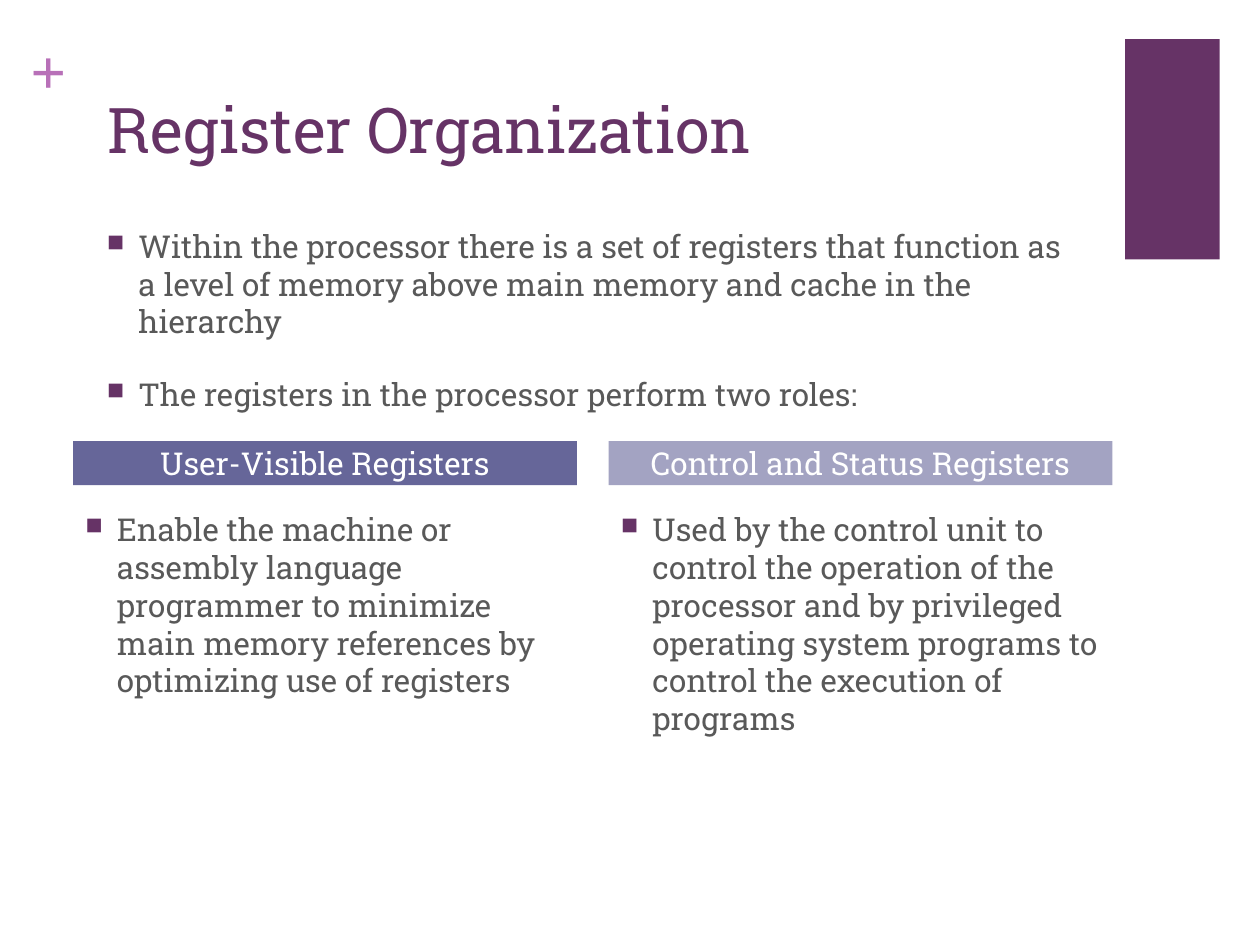
from dataclasses import dataclass

from lxml.etree import SubElement
from pptx import Presentation
from pptx.dml.color import RGBColor as Rgb
from pptx.enum.shapes import MSO_SHAPE as Shape
from pptx.enum.text import MSO_ANCHOR as Anchor, PP_ALIGN as Align
from pptx.oxml.ns import qn
from pptx.util import Inches, Pt


@dataclass(frozen=True)
class Theme:
    font: str = "Roboto Slab"
    plus_font: str = "Times New Roman"
    plum: str = "663366"
    orchid: str = "B870B8"
    body: str = "595959"
    white: str = "FFFFFF"
    large: int = 36
    normal: int = 18


@dataclass(frozen=True)
class Box:
    left: float
    top: float
    width: float
    height: float

    def inches(self) -> list:
        return [Inches(n) for n in (self.left, self.top, self.width, self.height)]


@dataclass(frozen=True)
class Role:
    heading: str
    fill: str
    description: str


THEME = Theme()
ROLES = (
    Role("User-Visible Registers", "666699",
         "Enable the machine or assembly language programmer to minimize "
         "main memory references by optimizing use of registers"),
    Role("Control and Status Registers", "A3A3C2",
         "Used by the control unit to control the operation of the processor "
         "and by privileged operating system programs to control the "
         "execution of programs"),
)
INTRO = (
    "Within the processor there is a set of registers that function as a "
    "level of memory above main memory and cache in the hierarchy",
    "The registers in the processor perform two roles:",
)
COLUMN_LEFT, COLUMN_STEP, COLUMN_WIDTH = 0.58, 4.25, 4


def apply(target, **values) -> None:
    for name, value in values.items():
        setattr(target, name, value)


def set_frame(frame, side: float = 0.1, edge: float = 0.05,
              anchor=Anchor.TOP) -> None:
    apply(frame, word_wrap=True, vertical_anchor=anchor,
          margin_left=Inches(side), margin_right=Inches(side),
          margin_top=Inches(edge), margin_bottom=Inches(edge))


def write(paragraph, text: str, color: str, size: int = THEME.normal,
          font: str = THEME.font, bold: bool = False, align=Align.LEFT) -> None:
    paragraph.text = text
    paragraph.alignment = align
    apply(paragraph.font, name=font, size=Pt(size), bold=bold)
    paragraph.font.color.rgb = Rgb.from_string(color)


def add_bullet(paragraph) -> None:
    """Give the paragraph a small plum square on a hanging indent."""
    props = paragraph._p.get_or_add_pPr()
    indent = Inches(0.25)
    props.set("marL", str(indent))
    props.set("indent", str(-indent))
    color = SubElement(props, qn("a:buClr"))
    SubElement(color, qn("a:srgbClr"), val=THEME.plum)
    SubElement(props, qn("a:buSzPct"), val="75000")
    SubElement(props, qn("a:buChar"), char="■")


def add_bullets(slide, box: Box, *items: str) -> None:
    frame = slide.shapes.add_textbox(*box.inches()).text_frame
    set_frame(frame)
    for index, item in enumerate(items):
        paragraph = frame.add_paragraph() if index else frame.paragraphs[0]
        add_bullet(paragraph)
        if index:
            paragraph.space_before = Pt(20)
        write(paragraph, item, THEME.body)


def add_block(slide, box: Box, fill: str):
    block = slide.shapes.add_shape(Shape.RECTANGLE, *box.inches())
    block.shadow.inherit = False
    block.fill.solid()
    block.fill.fore_color.rgb = Rgb.from_string(fill)
    block.line.fill.background()
    return block


def add_role(slide, role: Role, left: float) -> None:
    add_bullets(slide, Box(left, 4, COLUMN_WIDTH, 2.4), role.description)
    header = add_block(slide, Box(left, 3.5, COLUMN_WIDTH, 0.35), role.fill)
    set_frame(header.text_frame, edge=0, anchor=Anchor.MIDDLE)
    write(header.text_frame.paragraphs[0], role.heading, THEME.white,
          align=Align.CENTER)


def add_title(slide, text: str) -> None:
    title = slide.shapes.title
    left, top, width, height = Box(0.75, 0.67, 8.26, 1.22).inches()
    apply(title, left=left, top=top, width=width, height=height)
    set_frame(title.text_frame)
    write(title.text_frame.paragraphs[0], text, THEME.plum, THEME.large)


def add_plus(slide) -> None:
    frame = slide.shapes.add_textbox(*Box(0.24, 0.25, 0.29, 0.61).inches()).text_frame
    set_frame(frame, side=0, edge=0)
    frame.word_wrap = False
    write(frame.paragraphs[0], "+", THEME.orchid, THEME.large,
          THEME.plus_font, bold=True)


def main() -> None:
    deck = Presentation()
    apply(deck, slide_width=Inches(10), slide_height=Inches(7.5))
    slide = deck.slides.add_slide(deck.slide_layouts.get_by_name("Title Only"))
    add_block(slide, Box(8.93, 0.31, 0.75, 1.75), THEME.plum)
    add_plus(slide)
    add_title(slide, "Register Organization")
    for column, role in enumerate(ROLES):
        add_role(slide, role, COLUMN_LEFT + column * COLUMN_STEP)
    add_bullets(slide, Box(0.75, 1.75, 7.83, 1.29), *INTRO)
    deck.save("out.pptx")


if __name__ == "__main__":
    main()
